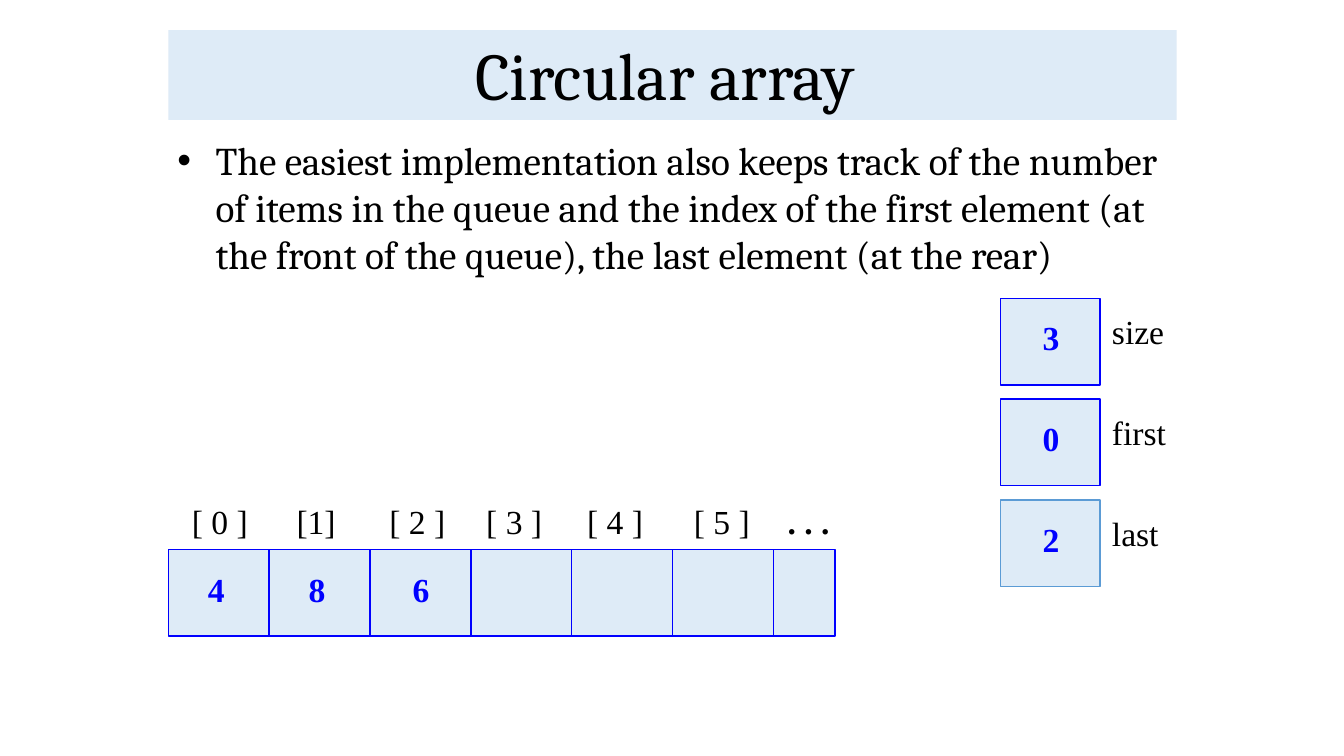
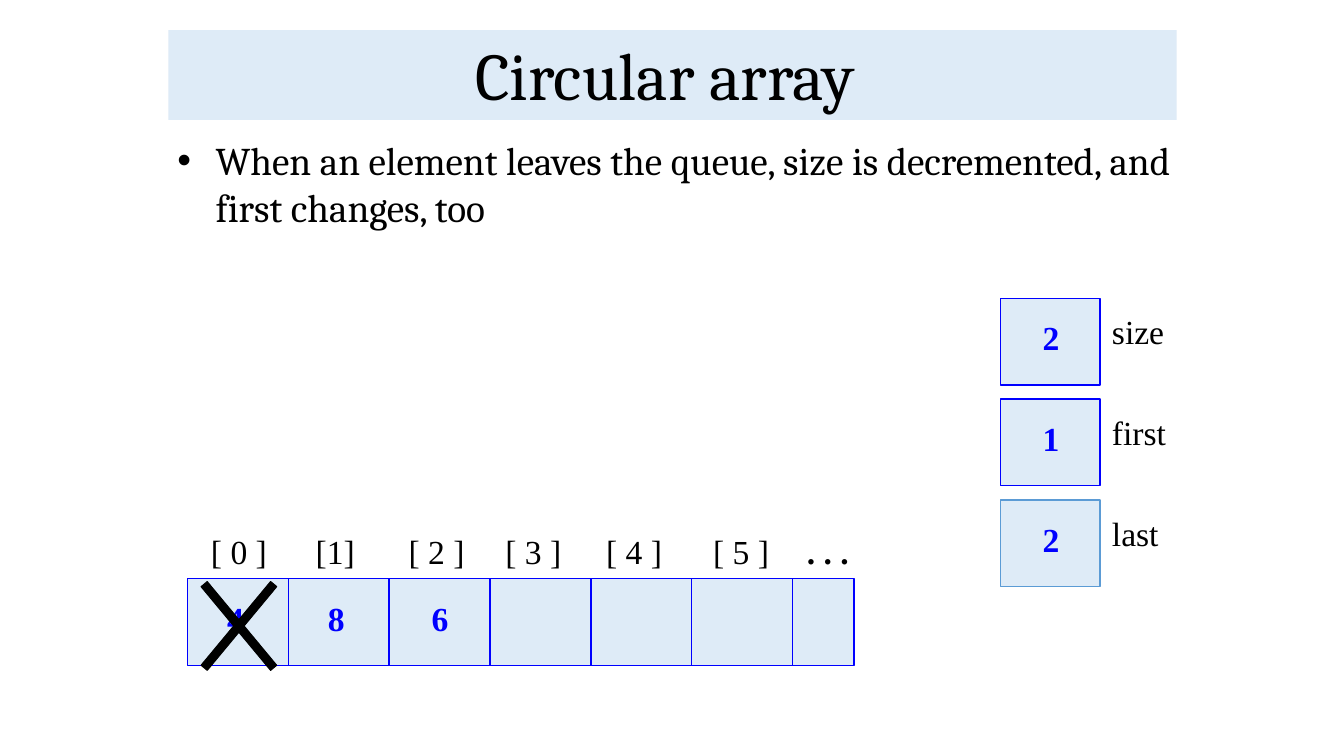
import dataclasses

import lxml.etree
import pptx
import pptx.dml.color
import pptx.enum.shapes
import pptx.enum.text
import pptx.oxml.ns
import pptx.util

Inches = pptx.util.Inches
Pt = pptx.util.Pt
RGB = pptx.dml.color.RGBColor
ALIGN = pptx.enum.text.PP_ALIGN
ANCHOR = pptx.enum.text.MSO_ANCHOR
FIT_SHAPE = pptx.enum.text.MSO_AUTO_SIZE.SHAPE_TO_FIT_TEXT
RECTANGLE = pptx.enum.shapes.MSO_SHAPE.RECTANGLE
ROUNDED = pptx.enum.shapes.MSO_SHAPE.ROUNDED_RECTANGLE
STRAIGHT = pptx.enum.shapes.MSO_CONNECTOR.STRAIGHT
qn = pptx.oxml.ns.qn


@dataclasses.dataclass(frozen=True)
class Theme:
    pale: RGB = RGB(0xDE, 0xEB, 0xF7)
    blue: RGB = RGB(0x00, 0x00, 0xFF)
    soft_blue: RGB = RGB(0x5B, 0x9B, 0xD5)
    black: RGB = RGB(0x00, 0x00, 0x00)
    heading_font: str = "Cambria"
    diagram_font: str = "Times New Roman"
    title_size: float = 47.7
    body_size: float = 28
    diagram_size: float = 24


THEME = Theme()

# Array geometry, in inches: label offsets and widths from the array's left edge
CELL_WIDTH, CELL_HEIGHT = 1, 0.86
ARRAY_WIDTH = 6.61
DIVIDERS = 6
INDEX_PLACES = {"[ 0 ]": (0.13, 0.76), "[1]": (1.17, 0.59), "[ 2 ]": (2.09, 0.76),
                "[ 3 ]": (3.05, 0.76), "[ 4 ]": (4.05, 0.76), "[ 5 ]": (5.11, 0.76),
                ". . .": (6.04, 0.62)}
VALUE_OFFSETS = (0.29, 1.29, 2.32)
VALUE_WIDTH, LABEL_HEIGHT = 0.37, 0.47

# Register geometry, in inches, with each label's width and outline
REGISTER_LEFT, REGISTER_TOP, REGISTER_PITCH = 9.92, 2.96, 1
REGISTERS = {"size": (0.72, THEME.blue), "first": (0.74, THEME.blue),
             "last": (0.66, THEME.soft_blue)}


def write_text(shape, text, font=THEME.diagram_font, size=THEME.diagram_size,
               color=THEME.black, bold=False, align=ALIGN.LEFT, spacing=0.93,
               anchor=ANCHOR.TOP, wrap=True, bullet_indent=None):
    frame = shape.text_frame
    frame.word_wrap = wrap
    frame.vertical_anchor = anchor
    if not wrap:
        frame.auto_size = FIT_SHAPE
    paragraph = frame.paragraphs[0]
    paragraph.alignment = align
    paragraph.line_spacing = spacing
    if bullet_indent:
        properties = paragraph._p.get_or_add_pPr()
        properties.set("marL", str(bullet_indent))
        properties.set("indent", str(-bullet_indent))
        lxml.etree.SubElement(properties, qn("a:buFont")).set("typeface", "Arial")
        lxml.etree.SubElement(properties, qn("a:buChar")).set("char", "•")
    run = paragraph.add_run()
    run.text = text
    run.font.name = font
    run.font.size = Pt(size)
    run.font.color.rgb = color
    run.font.bold = bold


class Deck:
    def __init__(self, theme):
        self.theme = theme
        self.presentation = pptx.Presentation()
        self.presentation.slide_width = Inches(13.33)
        self.presentation.slide_height = Inches(7.5)
        self.slide = None

    def new_slide(self, title, statement, statement_height):
        layout = self.presentation.slide_layouts[6]
        self.slide = self.presentation.slides.add_slide(layout)
        # Title band
        band = self.box(1.67, 0.3, 10, 0.89, fill=self.theme.pale)
        write_text(band, title, font=self.theme.heading_font,
                   size=self.theme.title_size, align=ALIGN.CENTER,
                   spacing=0.9, anchor=ANCHOR.BOTTOM)
        # Bulleted statement
        body = self.slide.shapes.add_textbox(
            Inches(1.66), Inches(1.3), Inches(10.22), Inches(statement_height))
        write_text(body, statement, font=self.theme.heading_font,
                   size=self.theme.body_size, spacing=1, bullet_indent=Inches(0.38))

    def box(self, left, top, width, height, fill=None, outline=None, weight=1,
            preset=RECTANGLE):
        rectangle = self.slide.shapes.add_shape(
            preset, Inches(left), Inches(top), Inches(width), Inches(height))
        if preset == ROUNDED:
            rectangle.adjustments[0] = 0
        rectangle.shadow.inherit = False
        if fill is None:
            rectangle.fill.background()
        else:
            rectangle.fill.solid()
            rectangle.fill.fore_color.rgb = fill
        if outline is None:
            rectangle.line.fill.background()
        else:
            rectangle.line.color.rgb = outline
            rectangle.line.width = Pt(weight)
        return rectangle

    def cell(self, left, top, width, outline):
        self.box(left, top, width, CELL_HEIGHT, fill=self.theme.pale,
                 outline=outline, preset=ROUNDED)

    def label(self, left, top, width, content, **text_format):
        area = self.box(left, top, width, LABEL_HEIGHT, preset=ROUNDED)
        write_text(area, content, wrap=False, **text_format)

    def value(self, left, top, content):
        self.label(left, top, VALUE_WIDTH, content, color=self.theme.blue,
                   bold=True, align=ALIGN.CENTER)

    def divider(self, x, top, height):
        line = self.slide.shapes.add_connector(
            STRAIGHT, Inches(x), Inches(top), Inches(x), Inches(top + height))
        line.line.color.rgb = self.theme.blue
        line.line.width = Pt(1)
        lxml.etree.SubElement(line._element.spPr, qn("a:effectLst"))

    def registers(self, values):
        for row, (name, (width, outline)) in enumerate(REGISTERS.items()):
            top = REGISTER_TOP + row * REGISTER_PITCH
            self.label(REGISTER_LEFT + 1.01, top + 0.11, width, name)
            self.cell(REGISTER_LEFT, top, 0.99, outline)
            self.value(REGISTER_LEFT + 0.32, top + 0.17, values[row])

    def array(self, left, top, values):
        self.cell(left, top, ARRAY_WIDTH, self.theme.blue)
        for position in range(1, DIVIDERS + 1):
            self.divider(left + position * CELL_WIDTH, top, CELL_HEIGHT)
        for index, (offset, width) in INDEX_PLACES.items():
            self.label(left + offset, top - 0.49, width, index,
                       bold=index == ". . .", align=ALIGN.CENTER)
        for value, offset in zip(values, VALUE_OFFSETS):
            self.value(left + offset, top + 0.18, value)

    def cross_out(self, centre_x, centre_y):
        width, length = 0.08, 1.08
        for angle in (39.7, -39.7):
            stroke = self.box(centre_x - width / 2, centre_y - length / 2, width, length,
                              fill=self.theme.black, outline=self.theme.black, weight=0.75)
            stroke.rotation = angle


def main():
    deck = Deck(THEME)
    title = "Circular array "
    queue = ("4", "8", "6")

    # Queue with three items
    deck.new_slide(title, "The easiest implementation also keeps track of the number of "
                          "items in the queue and the index of the first element (at the "
                          "front of the queue), the last element (at the rear)", 1.99)
    deck.registers(("3", "0", "2"))
    deck.array(1.67, 5.45, queue)

    # First item leaves
    deck.new_slide(title, "When an element leaves the queue, size is decremented, and "
                          "first changes, too", 1.04)
    deck.registers(("2", "1", "2"))
    deck.array(1.86, 5.74, queue)
    deck.cross_out(2.37, 6.21)

    deck.presentation.save("out.pptx")


if __name__ == "__main__":
    main()
